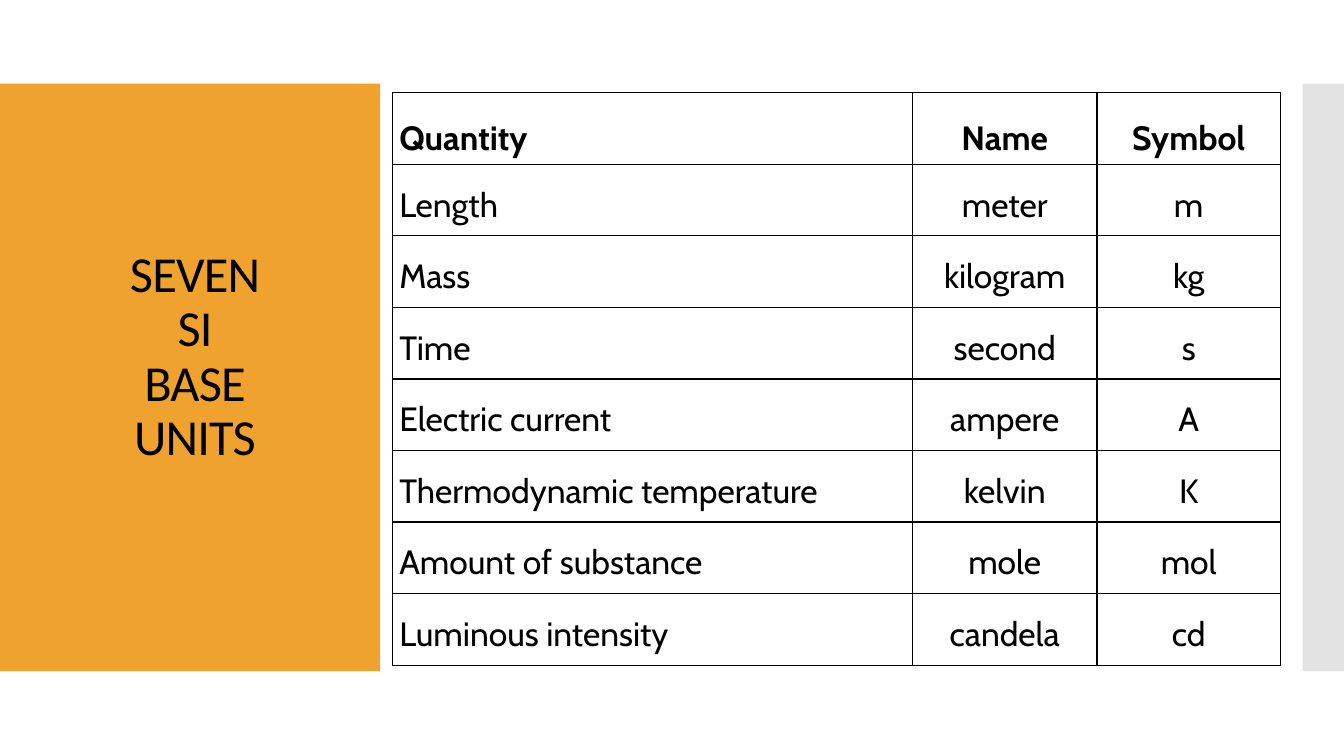
from pptx import Presentation
from pptx.dml.color import RGBColor
from pptx.enum.shapes import MSO_SHAPE
from pptx.enum.text import MSO_ANCHOR, MSO_AUTO_SIZE, PP_ALIGN
from pptx.oxml import parse_xml
from pptx.oxml.ns import nsdecls, qn
from pptx.util import Inches, Pt

ORANGE = RGBColor(0xF0, 0xA2, 0x2E)
GRAY = RGBColor(0xC8, 0xC8, 0xC8)
BLACK = RGBColor(0, 0, 0)

UNITS = [
    ("Quantity", "Name", "Symbol"),
    ("Length", "meter", "m"),
    ("Mass", "kilogram", "kg"),
    ("Time", "second", "s"),
    ("Electric current", "ampere", "A"),
    ("Thermodynamic temperature", "kelvin", "K"),
    ("Amount of substance", "mole", "mol"),
    ("Luminous intensity", "candela", "cd"),
]
COLUMN_WIDTHS = [5.16, 1.83, 1.82]
ROW_HEIGHT = 0.71


def add_panel(slide, left, width, color):
    panel = slide.shapes.add_shape(
        MSO_SHAPE.RECTANGLE, Inches(left), Inches(0.83), Inches(width), Inches(5.83))
    panel.shadow.inherit = False
    panel.fill.solid()
    panel.fill.fore_color.rgb = color
    panel.line.fill.background()
    return panel


def add_borders(cell, color):
    """Draw a 1 pt line on all four sides of a table cell."""
    properties = cell._tc.get_or_add_tcPr()
    for position, side in enumerate(("lnL", "lnR", "lnT", "lnB")):
        properties.insert(position, parse_xml(
            f'<a:{side} {nsdecls("a")} w="12700"><a:solidFill>'
            f'<a:srgbClr val="{color}"/></a:solidFill></a:{side}>'))


presentation = Presentation()
presentation.slide_width = Inches(13.33)
presentation.slide_height = Inches(7.5)
slide = presentation.slides.add_slide(presentation.slide_layouts[5])

# Side panels
add_panel(slide, 0, 3.77, ORANGE)
gray_panel = add_panel(slide, 12.92, 0.41, GRAY)
gray_color = gray_panel._element.spPr.find(qn("a:solidFill")).find(qn("a:srgbClr"))
gray_color.append(parse_xml(f'<a:alpha {nsdecls("a")} val="50000"/>'))

# Title, raised above the panels
title = slide.shapes.title
slide.shapes._spTree.append(title._element)
title.left, title.top = Inches(0.46), Inches(1.35)
title.width, title.height = Inches(2.95), Inches(4.94)
frame = title.text_frame
frame.text = "SEVEN\vSI\vBASE\vUNITS"
frame.word_wrap = True
frame.auto_size = MSO_AUTO_SIZE.NONE
frame.vertical_anchor = MSO_ANCHOR.MIDDLE
frame.margin_bottom = Inches(0.59)
paragraph = frame.paragraphs[0]
paragraph.alignment = PP_ALIGN.CENTER
paragraph.line_spacing = 0.9
paragraph.font.name = "Calibri"
paragraph.font.size = Pt(36)
paragraph.font.color.rgb = BLACK
paragraph._p.pPr.find(qn("a:defRPr")).set("spc", "-60")

# Table of base units
table = slide.shapes.add_table(
    len(UNITS), len(COLUMN_WIDTHS), Inches(3.89), Inches(0.92),
    Inches(sum(COLUMN_WIDTHS)), Inches(ROW_HEIGHT * len(UNITS))).table
table.horz_banding = False
for column, width in zip(table.columns, COLUMN_WIDTHS):
    column.width = Inches(width)

for row_index, unit in enumerate(UNITS):
    table.rows[row_index].height = Inches(ROW_HEIGHT)
    for column_index, text in enumerate(unit):
        cell = table.cell(row_index, column_index)
        cell.text = text
        cell.fill.background()
        add_borders(cell, BLACK)
        cell.margin_left = cell.margin_right = Inches(0.07)
        cell.margin_top = cell.margin_bottom = 0
        cell.vertical_anchor = MSO_ANCHOR.TOP if row_index else MSO_ANCHOR.MIDDLE
        paragraph = cell.text_frame.paragraphs[0]
        paragraph.alignment = PP_ALIGN.CENTER if column_index else PP_ALIGN.LEFT
        paragraph.line_spacing = 1.5
        paragraph.font.name = "Cabin"
        paragraph.font.size = Pt(24)
        paragraph.font.bold = row_index == 0
        paragraph.font.color.rgb = BLACK

presentation.save("out.pptx")
